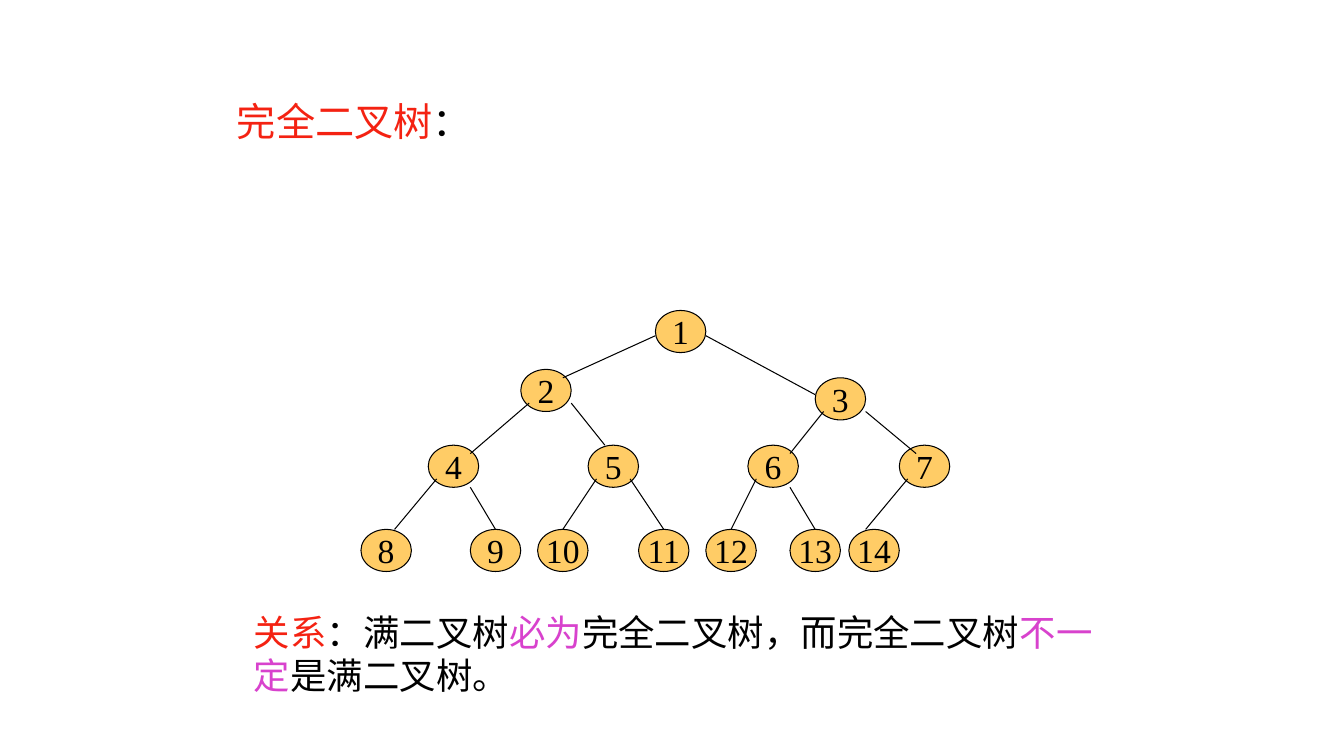
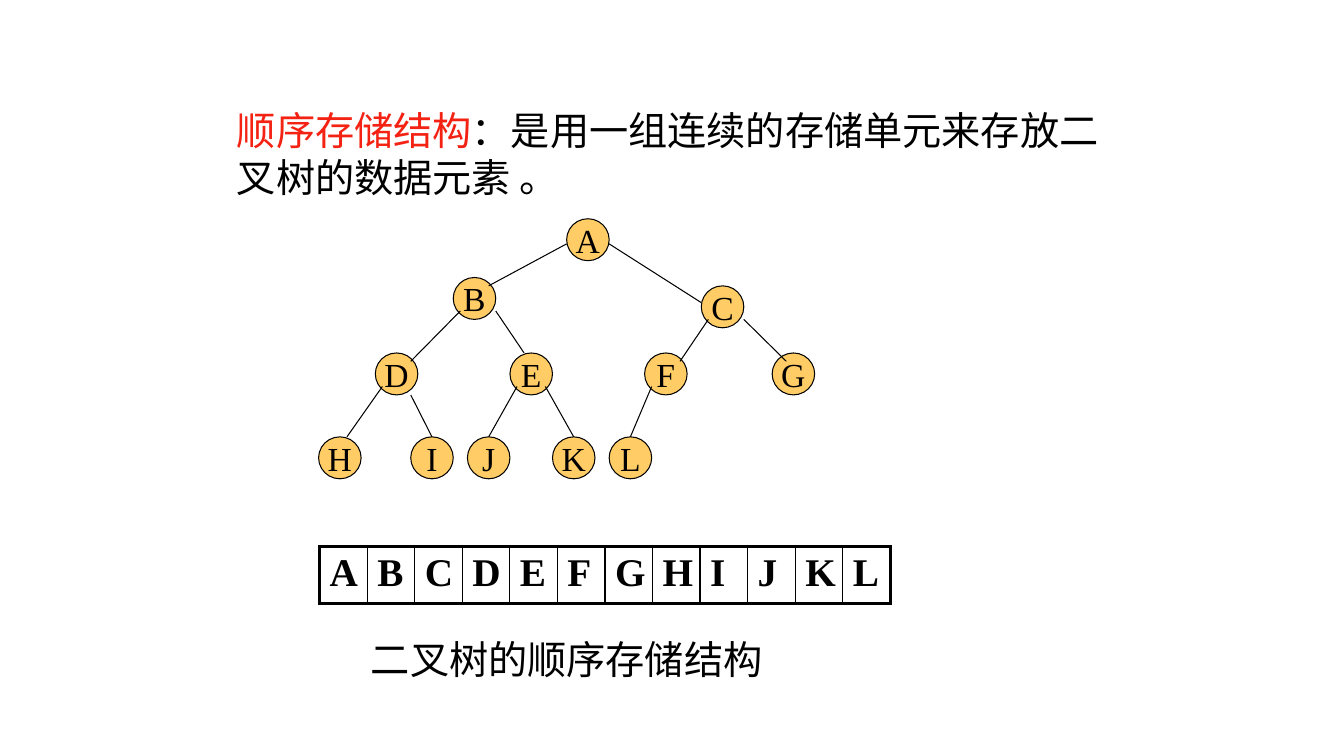
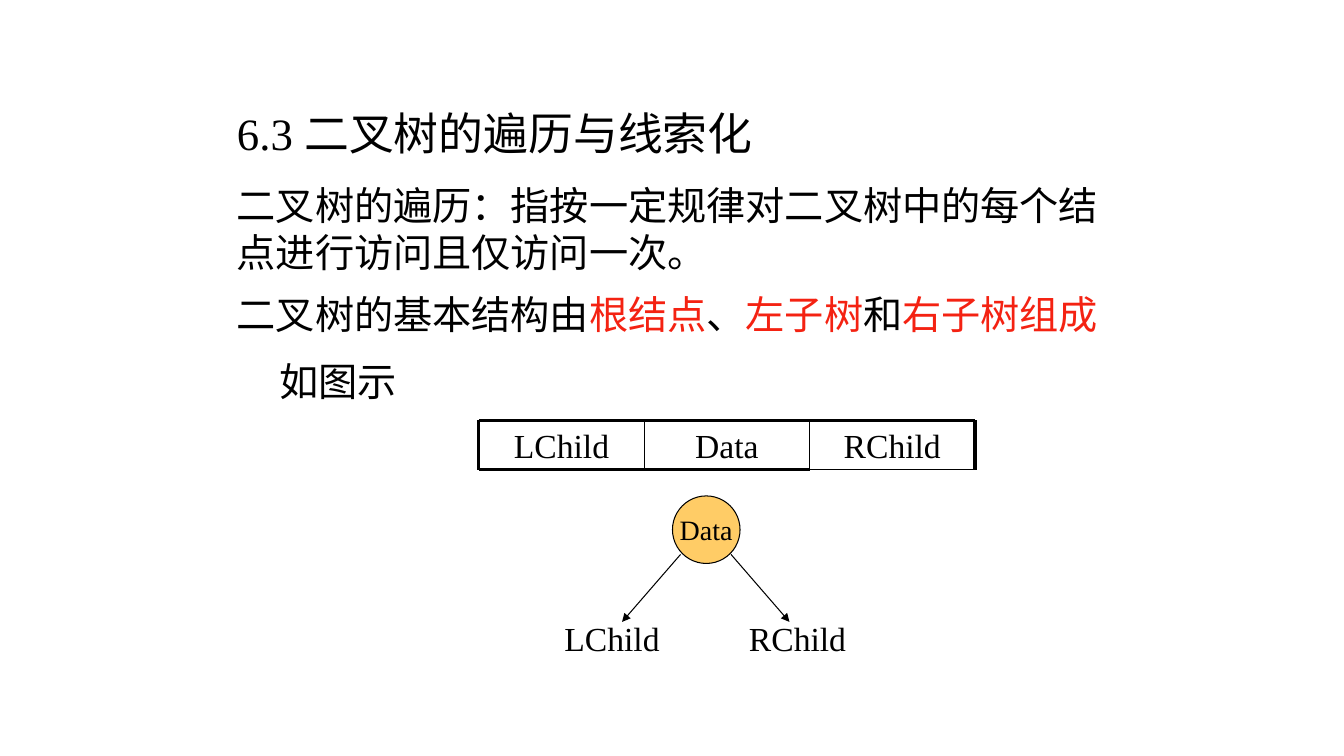
from lxml.etree import SubElement
from pptx import Presentation
from pptx.dml.color import RGBColor
from pptx.enum.lang import MSO_LANGUAGE_ID
from pptx.enum.shapes import MSO_CONNECTOR, MSO_SHAPE
from pptx.enum.text import MSO_ANCHOR, MSO_AUTO_SIZE, PP_ALIGN
from pptx.oxml.ns import qn
from pptx.util import Inches, Pt

COLORS = {
    "ink": "000000",
    "key": "F42212",
    "stress": "D842CD",
    "node": "FFCC66",
    "paper": "FFFFFF",
}
FONT = "Times New Roman"
THIN, INNER, OUTER = 0.75, 1, 2.25
TITLE_ONLY = 5

# Tree grid: 70 columns by 31 rows, each node 6 by 5, in level order.
GRID = (70, 31)
NODE = (6, 5)
NODES = [
    (35, 0), (19, 7), (54, 8), (8, 16), (27, 16), (46, 16), (64, 16),
    (0, 26), (13, 26), (21, 26), (33, 26), (41, 26), (51, 26), (58, 26),
]
# Link to each node after the root: offset in its parent, offset in itself.
LINKS = [
    ((0, 3), (5, 1)), ((6, 3), (0, 2)), ((1, 4), (5, 1)), ((6, 4), (2, 0)),
    ((1, 4), (5, 1)), ((6, 4), (2, 1)), ((1, 4), (4, 0)), ((5, 5), (3, 0)),
    ((1, 4), (3, 0)), ((5, 4), (3, 0)), ((1, 4), (3, 0)), ((5, 5), (3, 0)),
    ((1, 4), (2, 0)),
]


def color(name):
    """Return a named colour of the palette."""
    return RGBColor.from_string(COLORS[name])


def write(frame, parts, size, bold=False, align=PP_ALIGN.LEFT):
    """Write (text, colour name) parts as runs of the first paragraph."""
    paragraph = frame.paragraphs[0]
    paragraph.alignment = align
    for text, ink in parts:
        run = paragraph.add_run()
        run.text = text
        run.font.name = FONT
        run.font.size = Pt(size)
        run.font.bold = bold
        run.font.color.rgb = color(ink)
        run.font.language_id = MSO_LANGUAGE_ID.SIMPLIFIED_CHINESE


def heading(slide, box, parts, size=28):
    """Place the slide title in the box."""
    title = slide.shapes.title
    title.left, title.top, title.width, title.height = map(Inches, box)
    frame = title.text_frame
    frame.word_wrap = True
    frame.auto_size = MSO_AUTO_SIZE.NONE
    frame.vertical_anchor = MSO_ANCHOR.TOP
    write(frame, parts, size)


def statement(slide, box, parts, size=28, align=PP_ALIGN.LEFT):
    """Place a wrapped passage of text in the box."""
    frame = slide.shapes.add_textbox(*map(Inches, box)).text_frame
    frame.word_wrap = True
    write(frame, parts, size, align=align)


def node(slide, box, label, size=24):
    """Draw one labelled tree node filling the box."""
    oval = slide.shapes.add_shape(MSO_SHAPE.OVAL, *map(Inches, box))
    oval.shadow.inherit = False
    oval.fill.solid()
    oval.fill.fore_color.rgb = color("node")
    oval.line.color.rgb = color("ink")
    oval.line.width = Pt(THIN)
    frame = oval.text_frame
    frame.word_wrap = False
    frame.vertical_anchor = MSO_ANCHOR.MIDDLE
    write(frame, [(label, "ink")], size, align=PP_ALIGN.CENTER)


def link(slide, start, end, width=THIN, arrow=False):
    """Draw a straight line, with an arrowhead at its end if asked."""
    branch = slide.shapes.add_connector(
        MSO_CONNECTOR.STRAIGHT, *map(Inches, (*start, *end)))
    branch.line.color.rgb = color("ink")
    branch.line.width = Pt(width)
    properties = branch.element.spPr
    if arrow:
        SubElement(properties.find(qn("a:ln")), qn("a:tailEnd"), type="triangle")
    SubElement(properties, qn("a:effectLst"))


def tree(slide, box, labels):
    """Draw a complete binary tree of the labels, scaled to the box."""
    left, top, width, height = box
    column, row = width / GRID[0], height / GRID[1]

    def point(cell, offset=(0, 0)):
        """Turn a grid cell and an offset in it into inches."""
        return (left + (cell[0] + offset[0]) * column,
                top + (cell[1] + offset[1]) * row)

    for label, cell in zip(labels, NODES):
        node(slide, (*point(cell), NODE[0] * column, NODE[1] * row), label)
    for child in range(1, len(labels)):
        leave, arrive = LINKS[child - 1]
        parent = (child - 1) // 2
        link(slide, point(NODES[parent], leave), point(NODES[child], arrive))


def border(cell, side, width):
    """Give one side (L, R, T or B) of a table cell a solid line."""
    edge = SubElement(cell._tc.get_or_add_tcPr(), qn(f"a:ln{side}"),
                      w=str(Pt(width)))
    fill = SubElement(edge, qn("a:solidFill"))
    SubElement(fill, qn("a:srgbClr"), val=COLORS["ink"])


def storage_array(slide, box, letters):
    """Draw a one-row table of equal cells with a heavy outer frame."""
    table = slide.shapes.add_table(1, len(letters), *map(Inches, box)).table
    table.first_row = table.horz_banding = False
    last = len(letters) - 1
    for index, letter in enumerate(letters):
        table.columns[index].width = Inches(box[2] / len(letters))
        cell = table.cell(0, index)
        border(cell, "L", INNER if index else OUTER)
        border(cell, "R", INNER if index < last else OUTER)
        border(cell, "T", OUTER)
        border(cell, "B", OUTER)
        cell.fill.solid()
        cell.fill.fore_color.rgb = color("paper")
        write(cell.text_frame, [(letter, "ink")], 28, bold=True)


def node_layout(slide, box, fields):
    """Draw the fields of a node side by side, ruled off by lines."""
    left, top, width, height = box
    bottom = top + height
    edges = [left + width * n / len(fields) for n in range(len(fields) + 1)]
    for x, field in zip(edges, fields):
        statement(slide, (x, top, width / len(fields), 0.5),
                  [(field, "ink")], 24, PP_ALIGN.CENTER)
    for x in edges:
        link(slide, (x, top), (x, bottom),
             OUTER if x in (edges[0], edges[-1]) else INNER)
    link(slide, (left, top), (edges[-1], top), OUTER)
    link(slide, (edges[-2], bottom), (edges[-1], bottom), INNER)
    link(slide, (left, bottom), (edges[-2], bottom), OUTER)


def child_pointers(slide, box):
    """Draw a data node with arrows to its left and right child."""
    left, top = box[:2]
    node(slide, (left + 1.17, top, 0.67, 0.67), "Data", 20)
    for x, label in ((0, "LChild"), (1.83, "RChild")):
        statement(slide, (left + x, top + 1.16, 1.25, 0.5),
                  [(label, "ink")], 24)
    middle = left + 1.5
    for side in (-1, 1):
        link(slide, (middle + side * 0.25, top + 0.58),
             (middle + side * 0.83, top + 1.25), arrow=True)


def complete_tree_slide(slide):
    """Show a complete binary tree and how it relates to a full one."""
    heading(slide, (2.25, 0.92, 9.17, 0.57),
            [("完全二叉树", "key"), ("：", "ink")])
    tree(slide, (3.58, 3.08, 5.84, 2.59), [str(n) for n in range(1, 15)])
    statement(slide, (2.42, 6, 8.83, 0.97), [
        ("关系", "key"), ("：满二叉树", "ink"), ("必为", "stress"),
        ("完全二叉树，而完全二叉树", "ink"), ("不一定", "stress"),
        ("是满二叉树。", "ink")], 26)


def sequential_storage_slide(slide):
    """Show a tree and the array that stores it."""
    letters = "ABCDEFGHIJKL"
    heading(slide, (2.25, 1, 9.08, 1.03), [
        ("顺序存储结构", "key"),
        ("：是用一组连续的存储单元来存放二叉树的数据元素 。", "ink")])
    tree(slide, (3.16, 2.17, 4.92, 2.58), letters)
    storage_array(slide, (3.17, 5.42, 5.66, 0.57), letters)
    statement(slide, (3.58, 6.25, 4.75, 0.57),
              [("二叉树的顺序存储结构", "ink")])


def traversal_slide(slide):
    """Define traversal and show the structure of a node."""
    heading(slide, (2.25, 1, 9.17, 0.63),
            [("6.3 二叉树的遍历与线索化", "ink")], 32)
    statement(slide, (2.25, 1.75, 9.08, 1.03), [
        ("二叉树的遍历：指按一定规律对二叉树中的每个结点进行访问且仅访问一次。",
         "ink")])
    statement(slide, (2.25, 2.83, 9.08, 0.57), [
        ("二叉树的基本结构由", "ink"), ("根结点", "key"), ("、", "ink"),
        ("左子树", "key"), ("和", "ink"), ("右子树组成", "key")])
    statement(slide, (2.67, 3.5, 1.58, 0.57), [("如图示", "ink")])
    node_layout(slide, (4.75, 4.17, 4.92, 0.49), ["LChild", "Data", "RChild"])
    child_pointers(slide, (5.5, 4.92, 3.08, 1.66))


def main():
    """Build and save the presentation."""
    deck = Presentation()
    deck.slide_width, deck.slide_height = Inches(13.33), Inches(7.5)
    for build in (complete_tree_slide, sequential_storage_slide,
                  traversal_slide):
        build(deck.slides.add_slide(deck.slide_layouts[TITLE_ONLY]))
    deck.save("out.pptx")


main()
